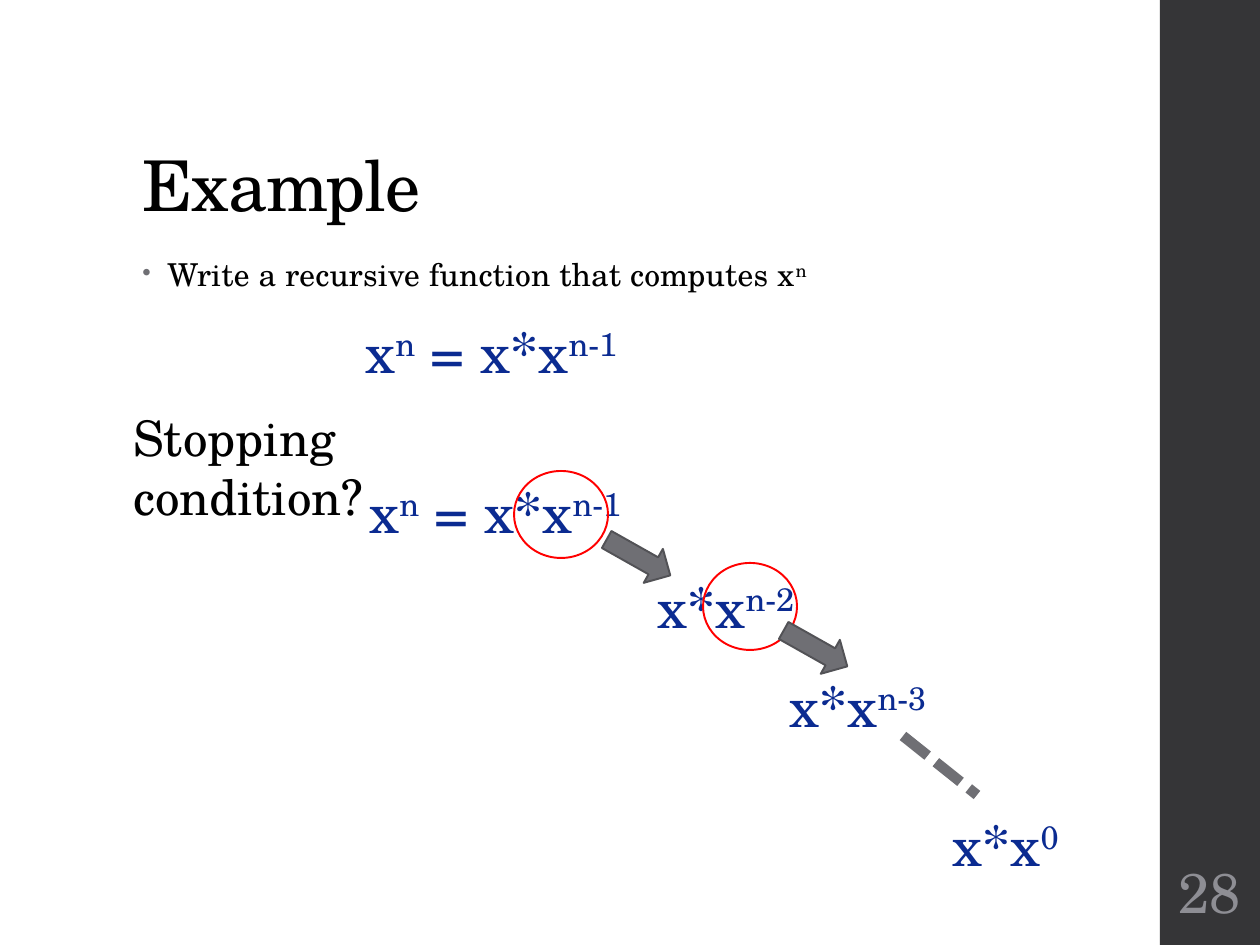
from lxml.etree import SubElement
from pptx import Presentation
from pptx.dml.color import RGBColor
from pptx.enum.dml import MSO_LINE
from pptx.enum.shapes import MSO_CONNECTOR, MSO_SHAPE
from pptx.enum.text import MSO_ANCHOR, PP_ALIGN
from pptx.oxml.ns import qn
from pptx.util import Emu, Pt

EMU_PER_PX = 914400 / 126
BLACK, WHITE, BLUE, RED = "000000", "FFFFFF", "0B2B91", "FF0000"
GRAY, DARK_GRAY, SIDEBAR, NUMBER = "6F6F74", "525256", "353537", "8E8E94"


def px(n):
    return Emu(round(n * EMU_PER_PX))


def rgb(value):
    return RGBColor.from_string(value)


class SlideBuilder:
    """Draws styled elements on the current slide."""

    font = "TeX Gyre Schola"
    outline = Pt(1.1)

    def __init__(self, slide):
        self.slide = slide
        slide.background.fill.solid()
        slide.background.fill.fore_color.rgb = rgb(WHITE)

    def shape(self, kind, box, fill=None, line=None, rotation=0):
        sp = self.slide.shapes.add_shape(kind, *map(px, box))
        sp.shadow.inherit = False
        sp.rotation = rotation
        if fill:
            sp.fill.solid()
            sp.fill.fore_color.rgb = rgb(fill)
        else:
            sp.fill.background()
        if line:
            sp.line.color.rgb = rgb(line)
            sp.line.width = self.outline
        else:
            sp.line.fill.background()

    def text(self, box, parts, size, color=BLACK, anchor=MSO_ANCHOR.TOP, spacing=0):
        """Adds text whose every second part is superscript."""
        sp = self.slide.shapes.add_textbox(*map(px, box))
        tf = sp.text_frame
        tf.word_wrap = True
        tf.vertical_anchor = anchor
        p = tf.paragraphs[0]
        for i, part in enumerate(parts):
            r = p.add_run()
            r.text = part
            r.font.name = self.font
            r.font.size = Pt(size)
            r.font.color.rgb = rgb(color)
            rPr = r.font._element
            if spacing:
                rPr.set("spc", str(spacing))
            if i % 2:
                rPr.set("baseline", "30000")
        return tf

    def bullet(self, p, color):
        pPr = p._p.get_or_add_pPr()
        pPr.set("marL", str(px(25)))
        pPr.set("indent", str(-px(25)))
        clr = SubElement(pPr, qn("a:buClr"))
        SubElement(clr, qn("a:srgbClr")).set("val", color)
        SubElement(pPr, qn("a:buSzPct")).set("val", "80000")
        SubElement(pPr, qn("a:buChar")).set("char", "•")

    def equation(self, left, top, width, *parts):
        self.text((left, top, width, 81), parts, 32, BLUE)

    def circle(self, left, top):
        self.shape(MSO_SHAPE.OVAL, (left, top, 94, 87), line=RED)

    def arrow(self, left, top):
        self.shape(MSO_SHAPE.RIGHT_ARROW, (left, top, 73, 39), GRAY, DARK_GRAY, 29.4)

    def dotted_line(self, *ends):
        cxn = self.slide.shapes.add_connector(MSO_CONNECTOR.STRAIGHT, *map(px, ends))
        cxn.line.color.rgb = rgb(GRAY)
        cxn.line.width = Pt(6)
        cxn.line.dash_style = MSO_LINE.SQUARE_DOT
        SubElement(cxn._element.spPr, qn("a:effectLst"))


def main():
    prs = Presentation()
    prs.slide_width, prs.slide_height = px(1260), px(945)
    s = SlideBuilder(prs.slides.add_slide(prs.slide_layouts[6]))

    s.shape(MSO_SHAPE.RECTANGLE, (1160, 0, 100, 945), SIDEBAR)
    title = s.text((130, 50, 1002, 183), ["Example"], 40,
                   anchor=MSO_ANCHOR.BOTTOM, spacing=-50)
    title.paragraphs[0].line_spacing = 0.9

    task = s.text((130, 252, 888, 600),
                  ["Write a recursive function that computes x", "n"], 18, spacing=10)
    s.bullet(task.paragraphs[0], GRAY)
    task.paragraphs[0].line_spacing = 0.95

    number = s.text((1163, 850, 94, 82), ["28"], 32, NUMBER, MSO_ANCHOR.MIDDLE)
    number.margin_left = number.margin_right = px(4)
    number.paragraphs[0].alignment = PP_ALIGN.CENTER

    s.text((121, 401, 441, 72), ["Stopping condition?"], 28)

    recurrence = ["x", "n", " = x*x", "n-1"]
    s.equation(353, 311, 441, *recurrence)
    s.equation(357, 471, 305, *recurrence)
    s.equation(645, 566, 305, "x*x", "n-2")
    s.equation(777, 665, 220, "x*x", "n-3")
    s.equation(940, 804, 220, "x*x", "0")

    for left, top in [(514, 471), (703, 563)]:
        s.circle(left, top)
    for left, top in [(602, 538), (779, 629)]:
        s.arrow(left, top)
    s.dotted_line(903, 736, 977, 795)

    prs.save("out.pptx")


if __name__ == "__main__":
    main()
